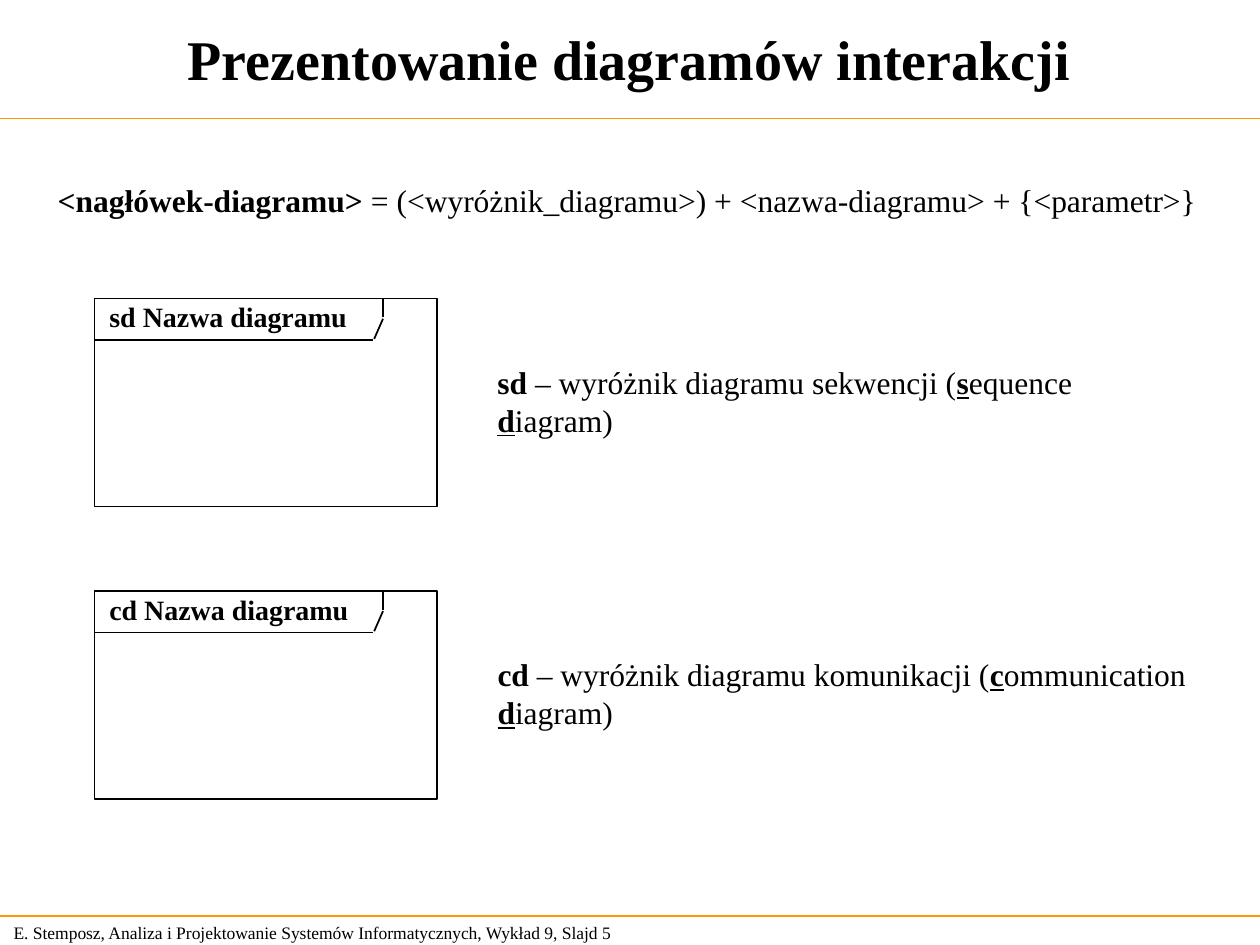
"""Build the slide on presenting interaction diagrams."""
from lxml import etree
from pptx import Presentation
from pptx.dml.color import RGBColor
from pptx.enum.shapes import MSO_CONNECTOR, MSO_SHAPE
from pptx.enum.text import MSO_ANCHOR, PP_ALIGN
from pptx.oxml.ns import qn
from pptx.util import Inches, Pt

STRAIGHT = MSO_CONNECTOR.STRAIGHT
RECTANGLE = MSO_SHAPE.RECTANGLE
MIDDLE, TOP = MSO_ANCHOR.MIDDLE, MSO_ANCHOR.TOP
CENTER, LEFT = PP_ALIGN.CENTER, PP_ALIGN.LEFT

THEME = {
    "font": "Times New Roman",
    "ink": RGBColor(0x00, 0x00, 0x00),
    "rule": RGBColor(0xFF, 0x99, 0x00),
    "title": 32, "body": 18, "label": 16, "footer": 10,
    "rule_width": 0.75, "frame_width": 1,
}

PLAIN, BOLD, KEY = (False, False), (True, False), (True, True)

TITLE = [("Prezentowanie diagramów interakcji", BOLD)]
FOOTER = [("E. Stemposz, Analiza i Projektowanie Systemów Informatycznych, "
           "Wykład 9, Slajd 5", PLAIN)]
SYNTAX = [
    ("<nagłówek-diagramu>", BOLD),
    (" = (<wyróżnik_diagramu>) + <nazwa-diagramu> + {<parametr>}", PLAIN),
]
DIAGRAMS = [
    {"code": "sd", "kind": "sekwencji", "initial": "s", "rest": "equence ",
     "top": 2.37, "note_width": 5},
    {"code": "cd", "kind": "komunikacji", "initial": "c", "rest": "ommunication ",
     "top": 4.69, "note_width": 5.79},
]

FRAME_LEFT, FRAME_WIDTH, FRAME_HEIGHT = 0.75, 2.72, 1.65
LABEL_WIDTH = 2.2
TAB_LINES = [
    ((0, 0.33), (2.21, 0.33)),
    ((2.22, 0.32), (2.29, 0.16)),
    ((2.29, 0.15), (2.29, 0)),
]
HEADER_RULE, FOOTER_RULE = 0.94, 7.27


def write(tf, runs, size, align=LEFT, anchor=TOP, wrap=True):
    tf.word_wrap = wrap
    tf.vertical_anchor = anchor
    p = tf.paragraphs[0]
    p.alignment = align
    for text, (bold, underline) in runs:
        r = p.add_run()
        r.text = text
        r.font.name = THEME["font"]
        r.font.size = Pt(THEME[size])
        r.font.color.rgb = THEME["ink"]
        r.font.bold = bold
        r.font.underline = underline


def add_text(shapes, box, runs, size, **layout):
    s = shapes.add_textbox(*map(Inches, box))
    write(s.text_frame, runs, size, **layout)


def add_line(shapes, start, end, color, width):
    s = shapes.add_connector(STRAIGHT, *map(Inches, (*start, *end)))
    s.line.color.rgb = THEME[color]
    s.line.width = Pt(THEME[width])
    etree.SubElement(s._element.spPr, qn("a:effectLst"))


def add_frame(shapes, top, label):
    group = shapes.add_group_shape().shapes
    s = group.add_shape(RECTANGLE, *map(Inches, (FRAME_LEFT, top, FRAME_WIDTH, FRAME_HEIGHT)))
    s.shadow.inherit = False
    s.fill.background()
    s.line.color.rgb = THEME["ink"]
    s.line.width = Pt(THEME["frame_width"])
    add_text(group, (FRAME_LEFT + 0.02, top - 0.04, LABEL_WIDTH, 0.37),
             [(label, BOLD)], "label")
    for ends in TAB_LINES:
        start, end = [(FRAME_LEFT + x, top + y) for x, y in ends]
        add_line(group, start, end, "ink", "frame_width")


def main():
    prs = Presentation()
    prs.slide_width, prs.slide_height = Inches(10), Inches(7.5)
    slide = prs.slides.add_slide(prs.slide_layouts[5])
    shapes = slide.shapes

    title = shapes.title
    title.left, title.top, title.width, title.height = map(Inches, (0, 0, 9.99, 0.92))
    write(title.text_frame, TITLE, "title", align=CENTER, anchor=MIDDLE)

    for y in (HEADER_RULE, FOOTER_RULE):
        add_line(shapes, (0, y), (10, y), "rule", "rule_width")
    add_text(shapes, (0.01, FOOTER_RULE, 5.24, 0.27), FOOTER, "footer", anchor=MIDDLE)
    add_text(shapes, (0.36, 1.39, 9.24, 0.4), SYNTAX, "body", wrap=False)

    for d in DIAGRAMS:
        add_frame(shapes, d["top"], f"{d['code']} Nazwa diagramu")
        note = [
            (d["code"], BOLD),
            (f" – wyróżnik diagramu {d['kind']} (", PLAIN),
            (d["initial"], KEY),
            (d["rest"], PLAIN),
            ("d", KEY),
            ("iagram)", PLAIN),
        ]
        add_text(shapes, (3.85, d["top"] + 0.46, d["note_width"], 0.7), note, "body")

    prs.save("out.pptx")


if __name__ == "__main__":
    main()
